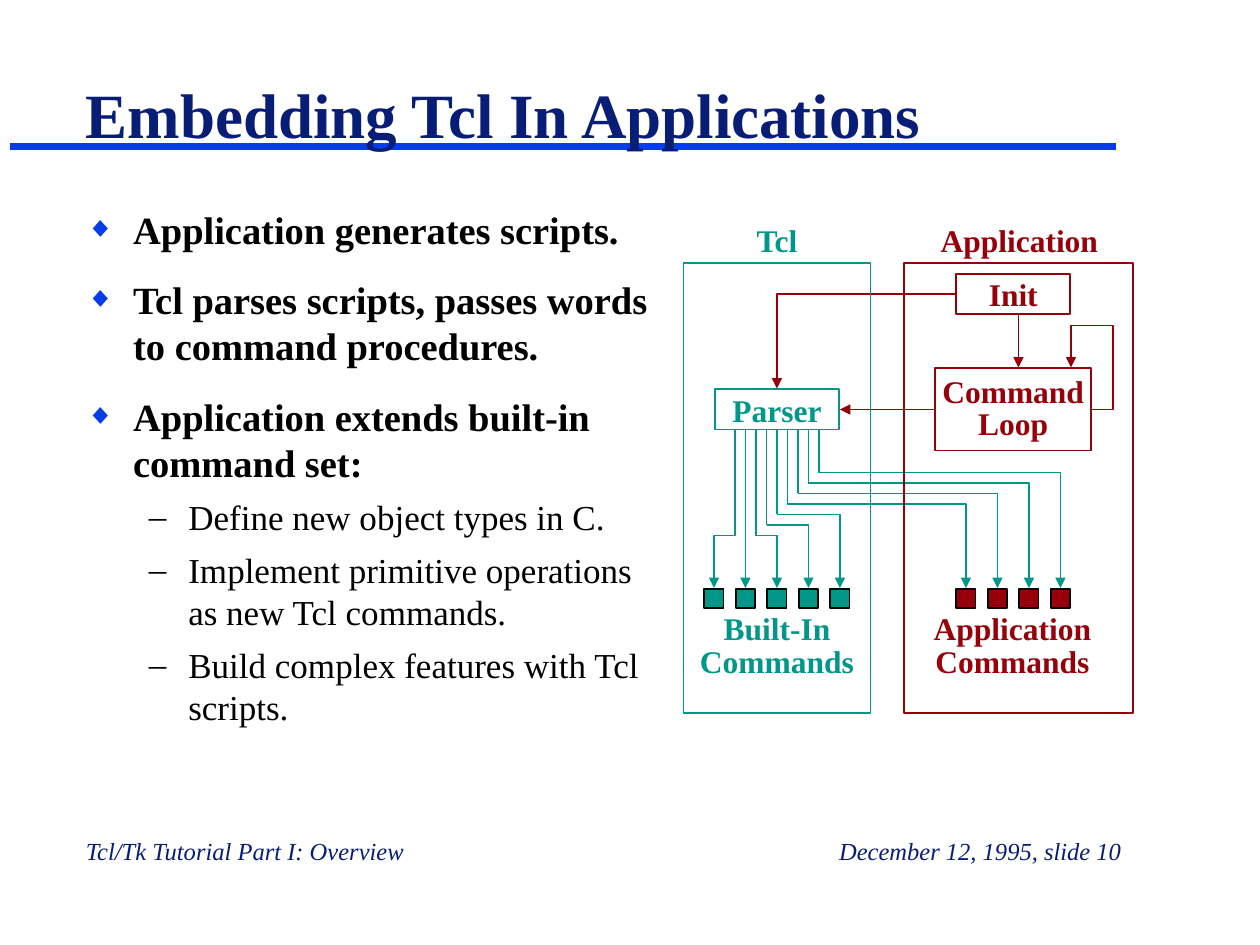
import pptx
import pptx.util
import pptx.dml.color
import pptx.enum.shapes
import pptx.enum.text
import pptx.oxml.ns
import lxml.etree

Pt = pptx.util.Pt
Align = pptx.enum.text.PP_ALIGN
Anchor = pptx.enum.text.MSO_ANCHOR
FACE = "Times New Roman"
HUES = {"rule": "063DE8", "navy": "081D75", "black": "000000",
        "teal": "009688", "red": "97000A"}


def color(hue):
    return pptx.dml.color.RGBColor.from_string(HUES[hue])


def add_tag(node, name, **attrs):
    return lxml.etree.SubElement(node, pptx.oxml.ns.qn(name), attrs)


def style_line(shape, hue, width=1, arrow=False):
    shape.line.color.rgb = color(hue)
    shape.line.width = Pt(width)
    if arrow:
        add_tag(shape.line._get_or_add_ln(), "a:tailEnd", type="triangle")


def add_line(slide, start, end, hue, width=1, arrow=False):
    kind = pptx.enum.shapes.MSO_CONNECTOR.STRAIGHT
    line = slide.shapes.add_connector(kind, *map(Pt, start + end))
    style_line(line, hue, width, arrow)
    add_tag(line._element.spPr, "a:effectLst")


def add_path(slide, points, hue):
    spots = [(Pt(x), Pt(y)) for x, y in points]
    pen = slide.shapes.build_freeform(*spots[0])
    pen.add_line_segments(spots[1:], close=False)
    path = pen.convert_to_shape()
    path.fill.background()
    path.shadow.inherit = False
    style_line(path, hue, arrow=True)


def add_box(slide, box, hue, fill=None):
    kind = pptx.enum.shapes.MSO_SHAPE.RECTANGLE
    shape = slide.shapes.add_shape(kind, *map(Pt, box))
    shape.shadow.inherit = False
    if fill:
        shape.fill.solid()
        shape.fill.fore_color.rgb = color(fill)
    else:
        shape.fill.background()
    style_line(shape, hue)
    return shape


def set_font(para, size, hue, bold=False, italic=False):
    font = para.font
    font.name, font.size = FACE, Pt(size)
    font.bold, font.italic = bold, italic
    font.color.rgb = color(hue)


def add_text(slide, box, text, size, hue, align=Align.LEFT, before=0,
             space=None, anchor=Anchor.TOP, bold=False, italic=False):
    frame = slide.shapes.add_textbox(*map(Pt, box)).text_frame
    frame.word_wrap = True
    frame.vertical_anchor = anchor
    para = frame.paragraphs[0]
    para.text = text
    para.alignment = align
    para.space_before = Pt(before)
    para.line_spacing = space
    set_font(para, size, hue, bold, italic)


def add_label(slide, box, text, hue):
    add_text(slide, box, text, 18, hue, Align.CENTER, 11.2, 0.85, bold=True)


def add_node(slide, box, lines, hue):
    frame = add_box(slide, box, hue).text_frame
    frame.word_wrap = False
    frame.vertical_anchor = Anchor.MIDDLE
    for i, text in enumerate(lines):
        para = frame.add_paragraph() if i else frame.paragraphs[0]
        para.text = text
        para.alignment = Align.CENTER
        if len(lines) > 1:
            para.line_spacing = 0.85
        set_font(para, 18, hue, bold=True)


def set_bullet(para, sign, hue, scale, left, hang):
    props = para._p.get_or_add_pPr()
    props.set("marL", str(Pt(left)))
    props.set("indent", str(-Pt(hang)))
    tint = add_tag(props, "a:buClr")
    add_tag(tint, "a:srgbClr", val=HUES[hue])
    add_tag(props, "a:buSzPct", val=str(scale * 1000))
    add_tag(props, "a:buFont", typeface=FACE)
    add_tag(props, "a:buChar", char=sign)


def add_list(slide, box, items):
    frame = slide.shapes.add_textbox(*map(Pt, box)).text_frame
    frame.word_wrap = True
    for i, (level, text) in enumerate(items):
        para = frame.add_paragraph() if i else frame.paragraphs[0]
        para.text = text
        para.level = level
        if level:
            para.space_before = Pt(6.2)
            set_bullet(para, "–", "black", 100, 58.5, 22.5)
            set_font(para, 20, "black")
        else:
            para.space_before = Pt(13.8 if i else 6.9)
            set_bullet(para, "◆", "rule", 75, 27, 27)
            set_font(para, 22, "black", bold=True)


def add_wires(slide, ends):
    top, base = 246, 336
    for i, end in enumerate(ends):
        x = 420 + 6 * i
        if x == end:
            add_line(slide, (x, top), (x, base), "teal", arrow=True)
            continue
        bend = 306 - 6 * max(i - 2, 0)
        add_line(slide, (x, top), (x, bend), "teal")
        add_path(slide, [(x, bend), (end, bend), (end, base)], "teal")


def main():
    deck = pptx.Presentation()
    deck.slide_width, deck.slide_height = Pt(720), Pt(540)
    slide = deck.slides.add_slide(deck.slide_layouts[6])

    add_line(slide, (6, 84), (638, 84), "rule", 4)
    for left, text, align in (
            (42, "Tcl/Tk Tutorial Part I: Overview", Align.LEFT),
            (305, "December 12, 1995, slide 10", Align.RIGHT)):
        add_text(slide, (left, 474, 343, 24), text, 14, "navy", align, 8.8,
                 italic=True)
    add_text(slide, (42, 3, 600, 87), "Embedding Tcl In Applications", 36,
             "navy", anchor=Anchor.BOTTOM, bold=True)
    add_list(slide, (42, 114, 342, 348), [
        (0, "Application generates scripts."),
        (0, "Tcl parses scripts, passes words to command procedures."),
        (0, "Application extends built-in command set:"),
        (1, "Define new object types in C."),
        (1, "Implement primitive operations as new Tcl commands."),
        (1, "Build complex features with Tcl scripts.")])

    ends = []
    for first, count, hue in ((408, 5, "teal"), (552, 4, "red")):
        for i in range(count):
            x = first + 18 * i
            ends.append(x)
            add_box(slide, (x - 5.5, 336.5, 11, 11), "black", hue)

    add_node(slide, (408.5, 222.5, 71, 23), ["Parser"], "teal")
    add_node(slide, (546.5, 156.5, 65, 23), ["Init"], "red")
    add_node(slide, (534.5, 210.5, 89, 47), ["Command", "Loop"], "red")
    add_wires(slide, ends)
    add_line(slide, (534, 234), (480, 234), "red", arrow=True)
    add_line(slide, (582, 180), (582, 210), "red", arrow=True)
    add_path(slide, [(546, 168), (444, 168), (444, 222)], "red")
    add_path(slide, [(624, 234), (636, 234), (636, 186), (612, 186),
                     (612, 210)], "red")

    add_box(slide, (516.5, 150.5, 131, 257), "red")
    add_label(slide, (521, 348, 115, 44), "Application Commands", "red")
    add_box(slide, (390.5, 150.5, 107, 257), "teal")
    add_label(slide, (389.5, 348, 109, 44), "Built-In Commands", "teal")
    add_label(slide, (389.5, 126, 109, 25), "Tcl", "teal")
    add_label(slide, (528, 126, 109, 25), "Application", "red")
    deck.save("out.pptx")


if __name__ == "__main__":
    main()
